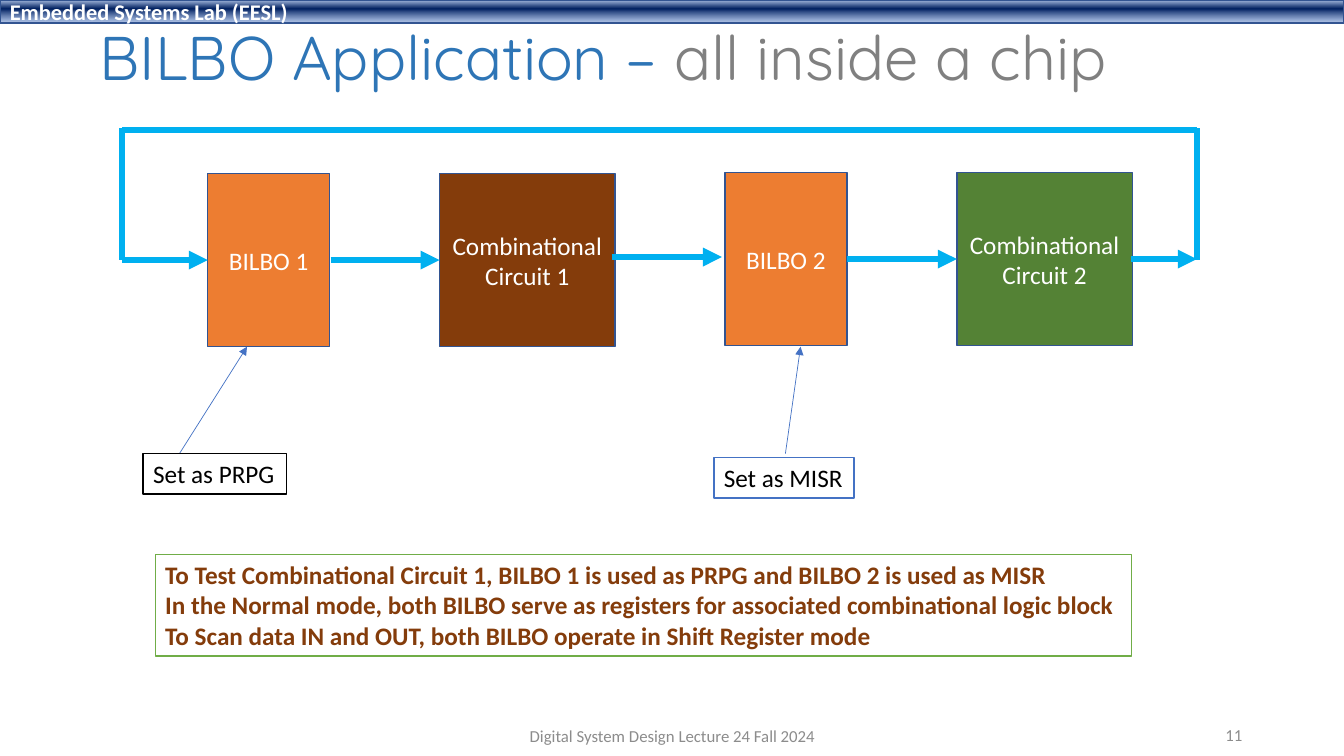
"""Build the slide showing two BILBO registers testing circuits inside a chip."""
from lxml import etree
from pptx import Presentation
from pptx.dml.color import RGBColor
from pptx.enum.shapes import MSO_CONNECTOR, MSO_SHAPE
from pptx.enum.text import MSO_ANCHOR, MSO_AUTO_SIZE, PP_ALIGN
from pptx.oxml import parse_xml
from pptx.oxml.ns import nsdecls, qn
from pptx.util import Inches, Pt

RECTANGLE = MSO_SHAPE.RECTANGLE
STRAIGHT = MSO_CONNECTOR.STRAIGHT
LEFT, CENTER, RIGHT = PP_ALIGN.LEFT, PP_ALIGN.CENTER, PP_ALIGN.RIGHT
MIDDLE, TOP = MSO_ANCHOR.MIDDLE, MSO_ANCHOR.TOP
FIT_SHAPE = MSO_AUTO_SIZE.SHAPE_TO_FIT_TEXT

THEME = {
    "font": "Calibri", "title_font": "Quicksand",
    "title_size": 44, "header_size": 16, "body_size": 18, "footer_size": 12,
    "title": "2E75B6", "subtitle": "808080", "footer": "8C8C8C",
    "white": "FFFFFF", "black": "000000", "outline": "325491",
    "register": "ED7D31", "brown": "843C0B", "green": "548235",
    "signal": "00B0F0", "pointer": "4472C4", "note": "70AD47",
    "signal_width": 4.5, "pointer_width": 0.5,
    "header_stops": [(2, "ABC0E4", 100), (38, "002060", 100), (93, "7E9ED6", 64)],
}

HEADER = "Embedded Systems Lab (EESL)"
TITLE = [("BILBO Application – ", "title"), ("all inside a chip", "subtitle")]
FOOTER = "Digital System Design Lecture 24 Fall 2024"
PAGE_NUMBER = "11"

BLOCK_HEIGHT = 1.72
BLOCKS = [
    ("BILBO 1", 2.06, 1.72, 1.21, "register"),
    ("Combinational Circuit 1", 4.36, 1.72, 1.74, "brown"),
    ("BILBO 2", 7.19, 1.71, 1.21, "register"),
    ("Combinational Circuit 2", 9.49, 1.71, 1.74, "green"),
]
SIGNAL_ARROWS = [
    (3.28, 2.58, 4.36), (6.07, 2.55, 7.16), (8.4, 2.57, 9.49), (11.22, 2.57, 11.87),
]
LOOP_LEFT, LOOP_RIGHT, LOOP_TOP, LOOP_BOTTOM = 1.21, 11.87, 1.29, 2.58
LINE_OVERLAP = 0.02
LABELS = [
    ("Set as PRPG", (1.42, 4.5, 1.42, 0.4), "black", (1.78, 4.5), (2.45, 3.44)),
    ("Set as MISR", (7.08, 4.54, 1.39, 0.4), "pointer", (7.79, 4.5), (7.94, 3.44)),
]
NOTES = [
    "To Test Combinational Circuit 1, BILBO 1 is used as PRPG and BILBO 2 is used as MISR",
    "In the Normal mode, both BILBO serve as registers for associated combinational logic block",
    "To Scan data IN and OUT, both BILBO operate in Shift Register mode",
]


def color(name):
    return RGBColor.from_string(THEME[name])


def write(shape, lines, size, ink, align=LEFT, anchor=MIDDLE, bold=False, wrap=True):
    frame = shape.text_frame
    frame.word_wrap = wrap
    frame.vertical_anchor = anchor
    frame.text = "\n".join(lines)
    for paragraph in frame.paragraphs:
        paragraph.alignment = align
        paragraph.font.name = THEME["font"]
        paragraph.font.size = Pt(THEME[size])
        paragraph.font.bold = bold
        paragraph.font.color.rgb = color(ink)


def add_box(slide, box, fill, line):
    shape = slide.shapes.add_shape(RECTANGLE, *map(Inches, box))
    shape.shadow.inherit = False
    shape.fill.solid()
    shape.fill.fore_color.rgb = color(fill)
    shape.line.color.rgb = color(line)
    shape.line.width = Pt(1)
    return shape


def add_label(slide, box, line, lines, ink, bold=False):
    shape = add_box(slide, box, "white", line)
    write(shape, lines, "body_size", ink, anchor=TOP, bold=bold, wrap=False)
    shape.text_frame.auto_size = FIT_SHAPE


def add_text(slide, box, text, align):
    shape = slide.shapes.add_textbox(*map(Inches, box))
    write(shape, [text], "footer_size", "footer", align)


def add_line(slide, start, end, kind, arrow=True):
    connector = slide.shapes.add_connector(STRAIGHT, *map(Inches, start + end))
    connector.line.color.rgb = color(kind)
    connector.line.width = Pt(THEME[kind + "_width"])
    if arrow:
        outline = connector.line._get_or_add_ln()
        etree.SubElement(outline, qn("a:tailEnd"), type="triangle")
    etree.SubElement(connector._element.spPr, qn("a:effectLst"))


def add_header(slide):
    header = add_box(slide, (0, 0, 13.33, 0.23), "white", "outline")
    stops = "".join(
        f'<a:gs pos="{position * 1000}"><a:srgbClr val="{shade}">'
        f'<a:alpha val="{opacity * 1000}"/></a:srgbClr></a:gs>'
        for position, shade, opacity in THEME["header_stops"])
    gradient = parse_xml(
        f'<a:gradFill {nsdecls("a")} rotWithShape="1"><a:gsLst>{stops}</a:gsLst>'
        '<a:lin ang="5400000" scaled="0"/></a:gradFill>')
    properties = header._element.spPr
    properties.replace(properties.find(qn("a:solidFill")), gradient)
    write(header, [HEADER], "header_size", "white", bold=True)


def add_title(slide):
    title = slide.shapes.add_textbox(*map(Inches, (0.89, 0.18, 10.98, 0.85)))
    title.text_frame.word_wrap = True
    title.text_frame.vertical_anchor = MIDDLE
    paragraph = title.text_frame.paragraphs[0]
    paragraph.line_spacing = 0.9
    paragraph.font.name = THEME["title_font"]
    paragraph.font.size = Pt(THEME["title_size"])
    for text, ink in TITLE:
        run = paragraph.add_run()
        run.text = text
        run.font.color.rgb = color(ink)


def add_circuit(slide):
    for text, left, top, width, fill in BLOCKS:
        block = add_box(slide, (left, top, width, BLOCK_HEIGHT), fill, "outline")
        write(block, [text], "body_size", "white", CENTER)
    for left, top, right in SIGNAL_ARROWS:
        add_line(slide, (left, top), (right, top), "signal")
    corner = LOOP_TOP - LINE_OVERLAP
    add_line(slide, (LOOP_RIGHT, LOOP_BOTTOM), (LOOP_RIGHT, corner), "signal", False)
    add_line(slide, (LOOP_RIGHT, LOOP_TOP), (LOOP_LEFT, LOOP_TOP), "signal", False)
    add_line(slide, (LOOP_LEFT, corner), (LOOP_LEFT, LOOP_BOTTOM), "signal", False)
    add_line(slide, (LOOP_LEFT, LOOP_BOTTOM), (BLOCKS[0][1], LOOP_BOTTOM), "signal")


def main():
    presentation = Presentation()
    presentation.slide_width = Inches(13.33)
    presentation.slide_height = Inches(7.5)
    slide = presentation.slides.add_slide(presentation.slide_layouts[6])
    add_header(slide)
    add_title(slide)
    add_circuit(slide)
    for text, box, line, start, end in LABELS:
        add_line(slide, start, end, "pointer")
        add_label(slide, box, line, [text], "black")
    add_label(slide, (1.54, 5.5, 9.68, 1.01), "note", NOTES, "brown", bold=True)
    add_text(slide, (9.42, 7.09, 3, 0.4), PAGE_NUMBER, RIGHT)
    add_text(slide, (4.42, 7.1, 4.5, 0.4), FOOTER, CENTER)
    presentation.save("out.pptx")


if __name__ == "__main__":
    main()
